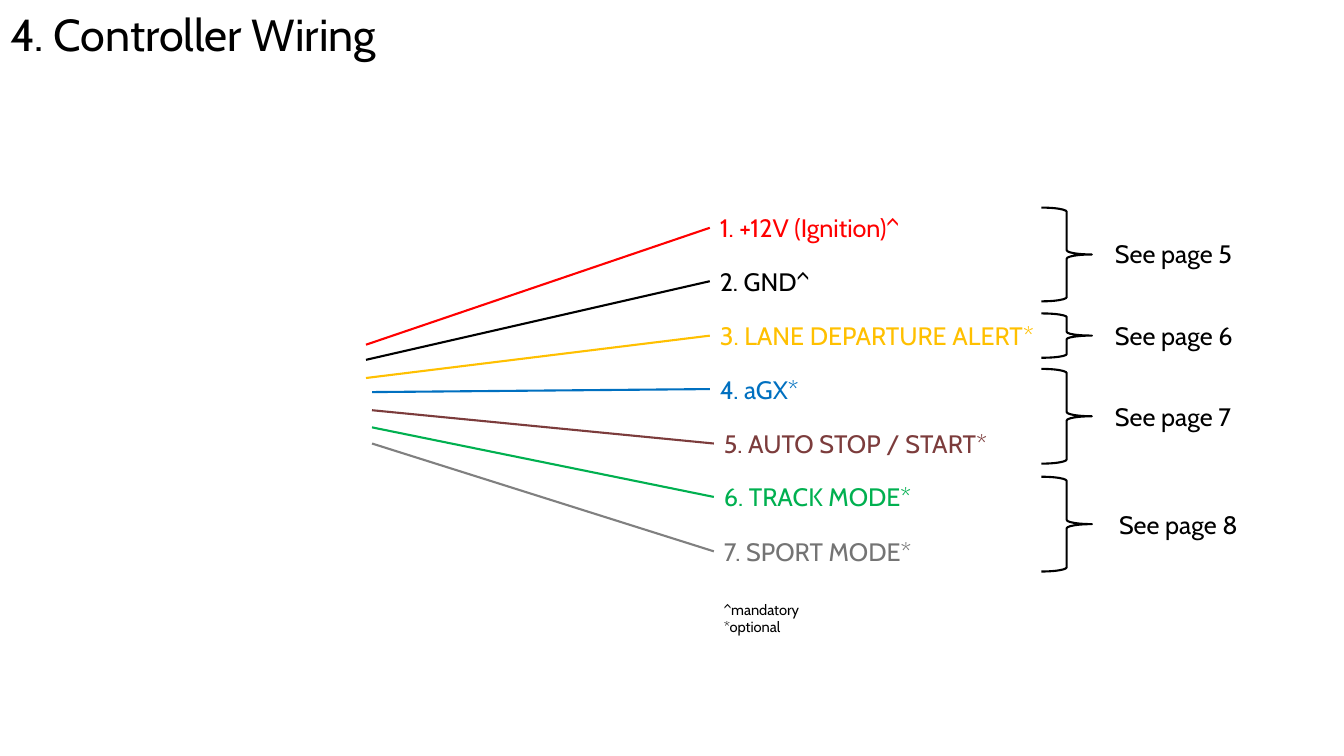
from dataclasses import dataclass

from lxml import etree
from pptx import Presentation
from pptx.dml.color import RGBColor
from pptx.enum.shapes import MSO_CONNECTOR, MSO_SHAPE
from pptx.enum.text import MSO_ANCHOR, MSO_AUTO_SIZE, PP_ALIGN
from pptx.oxml.ns import qn
from pptx.util import Pt

STRAIGHT = MSO_CONNECTOR.STRAIGHT
RIGHT_BRACE = MSO_SHAPE.RIGHT_BRACE
MIDDLE = MSO_ANCHOR.MIDDLE
NO_FIT = MSO_AUTO_SIZE.NONE
LEFT = PP_ALIGN.LEFT
TITLE_ONLY = 5
LEFT_SIDE = 1
SCALE = 9144  # EMU in one px, 100 px to the inch


@dataclass(frozen=True)
class Theme:
    font: str = "Cabin"
    ink: str = "000000"
    title_size: float = 32
    label_size: float = 18
    note_size: float = 10.5
    line_width: float = 1.5


THEME = Theme()
ROW_HEIGHT = 40

# label, text colour, wire colour, wire start (x, y), label left, label width
WIRES = [
    ("1. +12V (Ignition)^", "FF0000", "FF0000", (363, 342), 704, 258),
    ("2. GND^", "000000", "000000", (363, 357), 704, 191),
    ("3. LANE DEPARTURE ALERT*", "FFC000", "FFC000", (363, 375), 704, 375),
    ("4. aGX*", "0070C0", "0070C0", (369, 389), 704, 375),
    ("5. AUTO STOP / START*", "7C3C3C", "7C3C3C", (369, 407), 708, 375),
    ("6. TRACK MODE*", "00B050", "00B050", (369, 424), 708, 375),
    ("7. SPORT MODE*", "747474", "808080", (369, 440), 708, 375),
]

# label, first row, last row, extra brace height at each end, label offset
PAGE_GROUPS = [
    ("See page 5", 0, 1, 0, 63),
    ("See page 6", 2, 2, 2, 63),
    ("See page 7", 3, 4, 0, 63),
    ("See page 8", 5, 6, 0, 67),
]


def px(*lengths):
    return [length * SCALE for length in lengths]


def row_top(top, row):
    """Seven rows, spaced 53.5 px apart and rounded down."""
    return top + 107 * row // 2


def write(para, text, size, color):
    span = para.add_run()
    span.text = text
    span.font.name = THEME.font
    span.font.size = Pt(size)
    span.font.color.rgb = RGBColor.from_string(color)


def style_line(shape, color):
    shape.line.color.rgb = RGBColor.from_string(color)
    shape.line.width = Pt(THEME.line_width)


def add_label(page, box, lines, size, color):
    label = page.shapes.add_textbox(*px(*box))
    frame = label.text_frame
    frame.word_wrap = True
    for number, text in enumerate(lines):
        para = frame.add_paragraph() if number else frame.paragraphs[0]
        write(para, text, size, color)
    return label


def add_title(page, box, text):
    title = page.shapes.title
    title.left, title.top, title.width, title.height = px(*box)
    frame = title.text_frame
    frame.auto_size = NO_FIT
    frame.vertical_anchor = MIDDLE
    para = frame.paragraphs[0]
    para.alignment = LEFT
    para.line_spacing = 0.9
    write(para, text, THEME.title_size, THEME.ink)


def add_wires(page, top):
    for row, (text, color, wire_color, start, left, width) in enumerate(WIRES):
        box = (left, row_top(top, row), width, ROW_HEIGHT)
        label = add_label(page, box, [text], THEME.label_size, color)
        wire = page.shapes.add_connector(STRAIGHT, *px(*start, *start))
        wire.end_connect(label, LEFT_SIDE)
        style_line(wire, wire_color)
        etree.SubElement(wire._element.spPr, qn("a:effectLst"))


def add_page_groups(page, left, top):
    for text, first, last, extra, offset in PAGE_GROUPS:
        first_top, last_top = row_top(top, first), row_top(top, last)
        height = last_top + ROW_HEIGHT - first_top + 2 * extra
        brace = page.shapes.add_shape(
            RIGHT_BRACE, *px(left, first_top - extra, 50, height))
        brace.shadow.inherit = False
        brace.fill.background()
        style_line(brace, THEME.ink)
        box = (left + offset, (first_top + last_top) // 2, 168, ROW_HEIGHT)
        add_label(page, box, [text], THEME.label_size, THEME.ink)


def main():
    deck = Presentation()
    deck.slide_width, deck.slide_height = px(1333, 750)
    page = deck.slides.add_slide(deck.slide_layouts[TITLE_ONLY])
    add_title(page, (0, 0, 1150, 74), "4. Controller Wiring")
    add_wires(page, 206)
    add_page_groups(page, 1033, 206)
    add_label(page, (708, 591, 238, 47), ["^mandatory", "*optional"],
              THEME.note_size, THEME.ink)
    deck.save("out.pptx")


if __name__ == "__main__":
    main()
